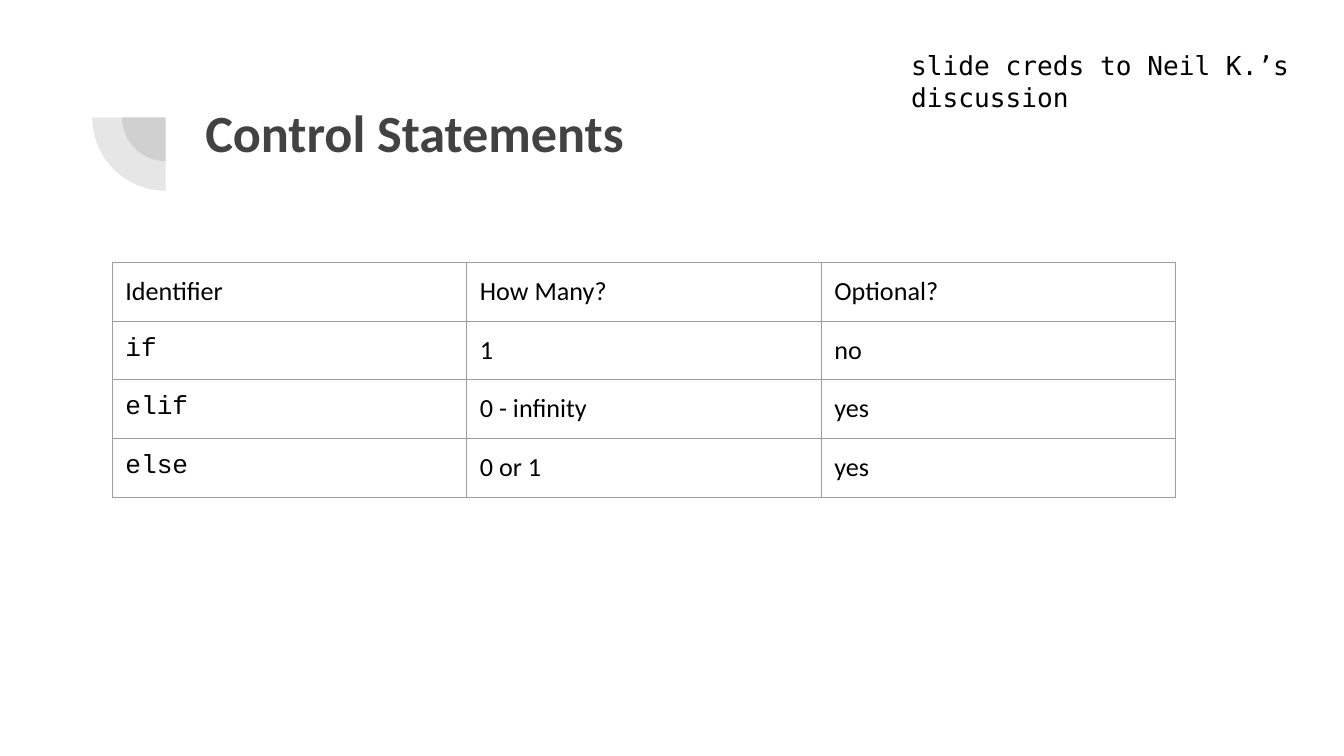
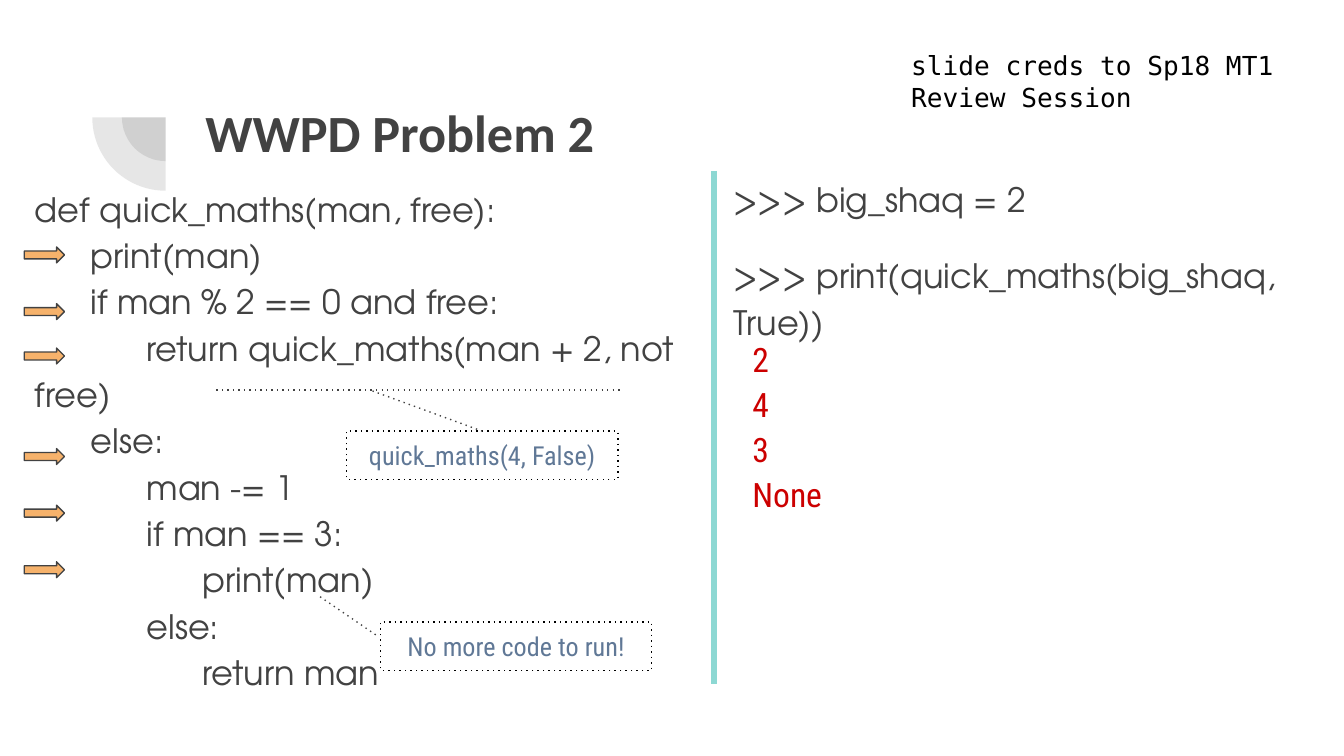
from lxml.etree import SubElement
from pptx import Presentation
from pptx.dml.color import RGBColor
from pptx.enum.dml import MSO_LINE
from pptx.enum.shapes import MSO_CONNECTOR, MSO_SHAPE
from pptx.enum.text import MSO_ANCHOR, MSO_AUTO_SIZE, PP_ALIGN
from pptx.oxml import parse_xml
from pptx.oxml.ns import nsdecls, qn
from pptx.util import Cm, Pt

DARK = RGBColor(0x42, 0x42, 0x42)
BLACK = RGBColor(0x00, 0x00, 0x00)
GREY = RGBColor(0x9E, 0x9E, 0x9E)
TEAL = RGBColor(0x8D, 0xD8, 0xD3)
ORANGE = RGBColor(0xF6, 0xB2, 0x6B)
RED = RGBColor(0xCC, 0x00, 0x00)
BLUE = RGBColor(0x60, 0x78, 0x96)

PLAIN = "Calibri"
KEYWORD = "Courier New"
CREDIT = "DejaVu Sans Mono"
CODE = "TeX Gyre Adventor"
ANSWER = "Roboto Condensed"
INSET = Cm(0.25)

# Content; positions are in centimetres.
STATEMENTS = [
    ("Identifier", "How Many?", "Optional?"),
    ("if", "1", "no"),
    ("elif", "0 - infinity", "yes"),
    ("else", "0 or 1", "yes"),
]
FUNCTION = [
    "def quick_maths(man, free):",
    "      print(man)",
    "      if man % 2 == 0 and free:",
    "            return quick_maths(man + 2, not free)",
    "      else:",
    "            man -= 1",
    "            if man == 3:",
    "                  print(man)",
    "            else:",
    "                  return man",
]
SESSION = [">>> big_shaq = 2", ">>> print(quick_maths(big_shaq, True))"]
OUTPUTS = [("2", 0.53), ("4", 0.53), ("3", 0.53), ("None", 2.36)]
STEP_TOPS = [4.67, 5.74, 6.58, 8.48, 9.55, 10.62]
CALL_NOTE = ("quick_maths(4, False)", 6.55, 8.15)
END_NOTE = ("No more code to run!", 7.19, 11.76)


def format_frame(frame, anchor=MSO_ANCHOR.TOP):
    frame.word_wrap = True
    frame.auto_size = MSO_AUTO_SIZE.NONE
    frame.vertical_anchor = anchor
    frame.margin_left = frame.margin_right = INSET
    frame.margin_top = frame.margin_bottom = INSET


def write(frame, lines, font, size, color, bold=False, align=PP_ALIGN.LEFT,
          spacing=None, gap=0):
    """Put one paragraph per line in the frame, gap points apart."""
    for index, line in enumerate(lines):
        para = frame.add_paragraph() if index else frame.paragraphs[0]
        para.alignment = align
        para.line_spacing = spacing
        para.space_before = Pt(gap if index else 0)
        span = para.add_run()
        span.text = line
        span.font.name = font
        span.font.size = Pt(size)
        span.font.bold = bold
        span.font.color.rgb = color


def add_text(page, lines, place, font, size, color,
             anchor=MSO_ANCHOR.TOP, **style):
    box = page.shapes.add_textbox(*map(Cm, place))
    format_frame(box.text_frame, anchor)
    write(box.text_frame, lines, font, size, color, **style)


def set_line(shape, color, width=0.75, dotted=False):
    shape.line.color.rgb = color
    shape.line.width = Pt(width)
    if dotted:
        shape.line.dash_style = MSO_LINE.ROUND_DOT
        shape.line._ln.find(qn("a:prstDash")).set("val", "dot")


def add_line(page, start, end, color=DARK, width=0.75, dotted=True):
    line = page.shapes.add_connector(
        MSO_CONNECTOR.STRAIGHT, *map(Cm, start + end))
    set_line(line, color, width, dotted)
    SubElement(line._element.spPr, qn("a:effectLst"))
    return line


def add_preset(page, preset, place):
    shape = page.shapes.add_shape(preset, *map(Cm, place))
    shape.shadow.inherit = False
    return shape


def add_emblem(page, center_x=3.13, center_y=2.22):
    """Draw two translucent quarter discs around one centre."""
    for size in (1.65, 2.77):
        place = (center_x - size / 2, center_y - size / 2, size, size)
        quarter = add_preset(page, MSO_SHAPE.PIE, place)
        quarter.rotation = 270
        quarter.adjustments[0] = 108
        quarter.adjustments[1] = 162
        quarter.line.fill.background()
        quarter.fill.solid()
        quarter.fill.fore_color.rgb = DARK
        color = quarter._element.spPr.find(".//" + qn("a:srgbClr"))
        SubElement(color, qn("a:alpha"), val="13000")


def add_page(deck, heading, credit):
    page = deck.slides.add_slide(deck.slide_layouts[5])
    add_emblem(page)
    title = page.shapes.title
    title.left, title.top, title.width, title.height = map(
        Cm, (3.63, 1.65, 19.53, 2.77))
    format_frame(title.text_frame)
    write(title.text_frame, [heading], PLAIN, 28, DARK, bold=True)
    add_text(page, [credit], (16.97, 0.69, 7.77, 1.85), CREDIT, 14, BLACK)
    return page


def add_borders(cell):
    properties = cell._tc.get_or_add_tcPr()
    for index, side in enumerate(("lnL", "lnR", "lnT", "lnB")):
        properties.insert(index, parse_xml(
            f'<a:{side} {nsdecls("a")} w="{Pt(0.75)}"><a:solidFill>'
            f'<a:srgbClr val="{GREY}"/></a:solidFill></a:{side}>'))


def add_statement_table(page, column_width=6.7, row_height=1.11):
    rows, columns = len(STATEMENTS), len(STATEMENTS[0])
    table = page.shapes.add_table(
        rows, columns, Cm(2.12), Cm(4.96),
        Cm(column_width * columns), Cm(row_height * rows)).table
    table.first_row = table.horz_banding = False
    for row, texts in enumerate(STATEMENTS):
        for column, text in enumerate(texts):
            cell = table.cell(row, column)
            cell.fill.background()
            add_borders(cell)
            cell.margin_left = cell.margin_right = INSET
            cell.margin_top = cell.margin_bottom = INSET
            font = KEYWORD if row and not column else PLAIN
            write(cell.text_frame, [text], font, 14, BLACK)


def add_note(page, text, left, top):
    note = add_preset(page, MSO_SHAPE.RECTANGLE, (left, top, 5.13, 0.91))
    note.fill.background()
    set_line(note, BLACK, dotted=True)
    format_frame(note.text_frame, MSO_ANCHOR.MIDDLE)
    write(note.text_frame, [text], ANSWER, 14, BLUE, align=PP_ALIGN.CENTER)
    return note


def add_step_arrow(page, top):
    arrow = add_preset(page, MSO_SHAPE.RIGHT_ARROW, (0.46, top, 0.76, 0.3))
    arrow.fill.solid()
    arrow.fill.fore_color.rgb = ORANGE
    set_line(arrow, DARK)


def add_problem(page):
    add_text(page, FUNCTION, (0.41, 3.2, 13.31, 11.2), CODE, 18, DARK,
             spacing=1.15)
    add_text(page, SESSION, (13.61, 3.02, 11.79, 7.01), CODE, 18, DARK,
             spacing=1.15, gap=16)
    add_line(page, (13.49, 3.23), (13.49, 12.93), TEAL, 3, dotted=False)
    for top in STEP_TOPS:
        add_step_arrow(page, top)
    for index, (text, width) in enumerate(OUTPUTS):
        add_text(page, [text], (13.97, 6.25 + 0.85 * index, width, 1.09),
                 ANSWER, 18, RED, anchor=MSO_ANCHOR.MIDDLE)
    call_note = add_note(page, *CALL_NOTE)
    pointer = add_line(page, (9.12, 8.15), (7.04, 7.39))
    pointer.begin_connect(call_note, 0)
    add_line(page, (4.09, 7.37), (11.71, 7.37))
    add_line(page, (6.05, 11.28), (7.16, 12.04))
    add_note(page, *END_NOTE)


def main():
    deck = Presentation()
    deck.slide_width, deck.slide_height = Cm(25.4), Cm(14.29)
    add_statement_table(add_page(
        deck, "Control Statements", "slide creds to Neil K.’s discussion"))
    add_problem(add_page(
        deck, "WWPD Problem 2", "slide creds to Sp18 MT1 Review Session"))
    deck.save("out.pptx")


if __name__ == "__main__":
    main()
